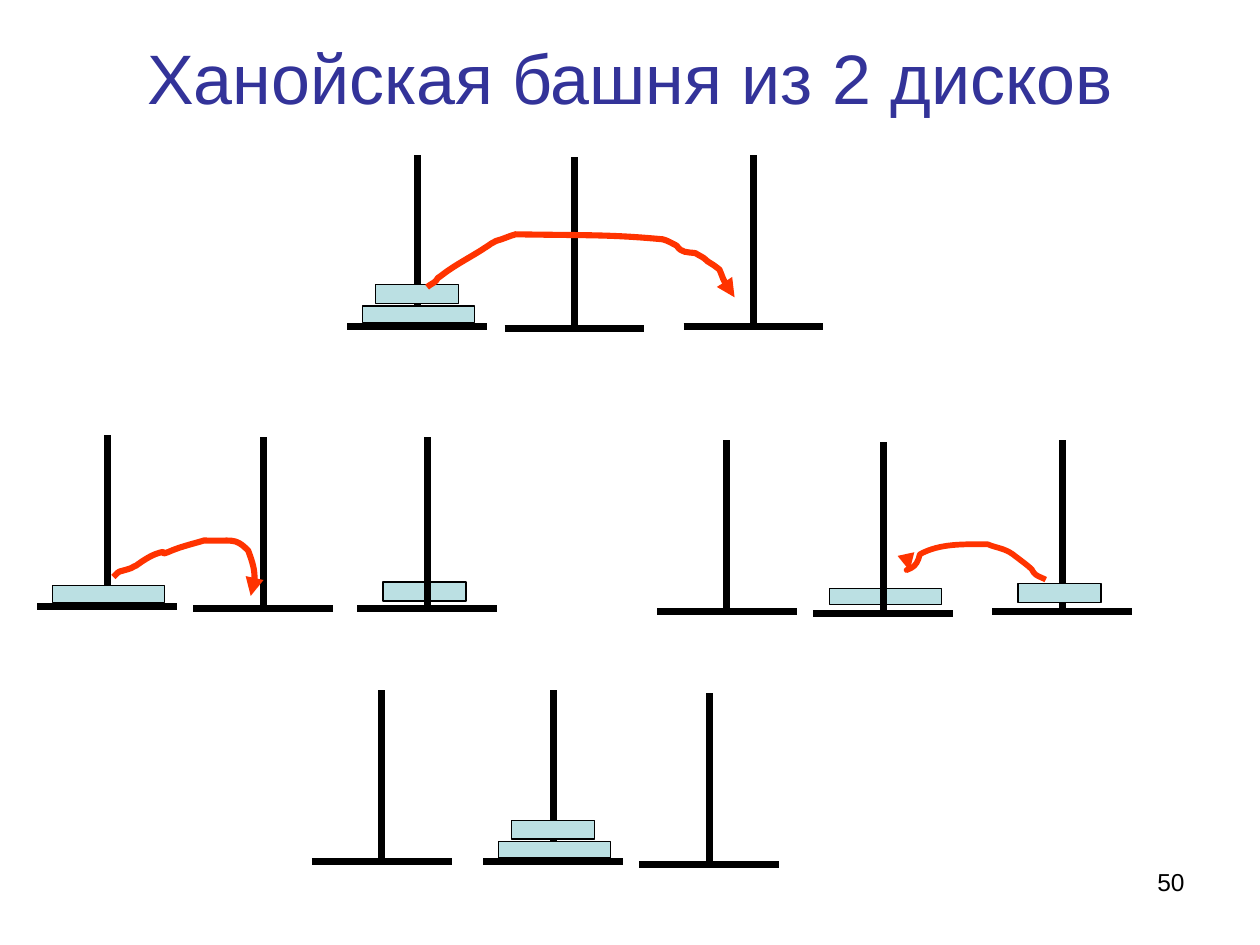
from lxml import etree
from pptx import Presentation
from pptx import util as u
from pptx.dml.color import RGBColor
from pptx.enum import shapes, text
from pptx.oxml.ns import qn

BLACK, DISK, ARROW, TITLE = "000000", "BBE0E3", "FF3300", "333399"
BASE_W, POLE_H = 1.11, 1.36
LARGE, SMALL = (0.89, 0.13), (0.66, 0.15)

# Disk: size, centre offset from the pole, rise of its top over the base
LOW_LARGE = (LARGE, 0.01, 0.16)
TOP_SMALL = (SMALL, 0, 0.33)
LONE_SMALL = (SMALL, -0.02, 0.21)

# Peg: pole x, base y, disks behind the pole, disks in front of it
STATES = [
    [(3.31, 2.59, [], [LOW_LARGE, TOP_SMALL]), (4.56, 2.61, [], []),
     (5.98, 2.59, [], [])],
    [(0.85, 4.81, [], [LOW_LARGE]), (2.09, 4.83, [], []),
     (3.39, 4.83, [LONE_SMALL], [])],
    [(5.77, 4.85, [], []), (7.01, 4.87, [(LARGE, 0.02, 0.2)], []),
     (8.43, 4.85, [], [(SMALL, -0.02, 0.22)])],
    [(4.39, 6.84, [], [LOW_LARGE, TOP_SMALL]), (5.63, 6.86, [], []),
     (3.03, 6.84, [], [])],
]

# Arrow: line width, start, then two control points and an end per curve
MOVES = [
    (3.5, (3.39, 2.28), [
        (3.41, 2.26), (3.44, 2.25), (3.46, 2.23),
        (3.47, 2.21), (3.48, 2.2), (3.5, 2.19),
        (3.6, 2.11), (3.72, 2.05), (3.83, 1.98),
        (3.88, 1.95), (3.92, 1.91), (3.98, 1.9),
        (4.01, 1.89), (4.03, 1.88), (4.06, 1.87),
        (4.07, 1.87), (4.09, 1.86), (4.09, 1.86),
        (4.66, 1.87), (4.83, 1.86), (5.26, 1.9),
        (5.3, 1.91), (5.33, 1.93), (5.37, 1.95),
        (5.41, 2.01), (5.45, 2), (5.52, 2.01),
        (5.55, 2.03), (5.58, 2.04), (5.6, 2.06),
        (5.61, 2.07), (5.62, 2.08), (5.64, 2.09),
        (5.66, 2.1), (5.71, 2.14), (5.71, 2.14),
        (5.74, 2.21), (5.75, 2.27), (5.82, 2.31),
        (5.82, 2.33), (5.83, 2.36), (5.83, 2.36)]),
    (3.5, (0.9, 4.58), [
        (0.96, 4.52), (0.92, 4.55), (1.04, 4.51),
        (1.05, 4.5), (1.08, 4.49), (1.08, 4.49),
        (1.12, 4.46), (1.18, 4.42), (1.23, 4.4),
        (1.37, 4.35), (1.24, 4.42), (1.34, 4.38),
        (1.43, 4.34), (1.52, 4.32), (1.62, 4.29),
        (1.85, 4.3), (1.86, 4.26), (1.97, 4.37),
        (2.01, 4.48), (2.05, 4.62), (1.99, 4.73)]),
    (3.25, (8.3, 4.6), [
        (8.28, 4.59), (8.23, 4.57), (8.22, 4.56),
        (8.2, 4.55), (8.2, 4.53), (8.19, 4.52),
        (8.15, 4.48), (8.09, 4.44), (8.04, 4.4),
        (7.97, 4.35), (7.91, 4.35), (7.84, 4.32),
        (7.66, 4.32), (7.46, 4.31), (7.3, 4.4),
        (7.29, 4.45), (7.27, 4.49), (7.23, 4.51),
        (7.16, 4.54), (7.1, 4.53), (7.22, 4.53)]),
]


def rgb(value):
    return RGBColor.from_string(value)


def set_line(sp, color, width):
    sp.line.color.rgb = rgb(color)
    sp.line.width = u.Pt(width)


def add_text(s, box, content, size, color, align, anchor):
    sp = s.shapes.add_textbox(*map(u.Inches, box))
    tf = sp.text_frame
    tf.word_wrap = True
    tf.vertical_anchor = anchor
    p = tf.paragraphs[0]
    p.alignment = align
    r = p.add_run()
    r.text = content
    for name, value in {"name": "Arial", "size": u.Pt(size)}.items():
        setattr(r.font, name, value)
    r.font.color.rgb = rgb(color)


def add_bar(s, *ends):
    sp = s.shapes.add_connector(shapes.MSO_CONNECTOR.STRAIGHT,
                                *map(u.Inches, ends))
    set_line(sp, BLACK, 4)
    etree.SubElement(sp._element.spPr, qn("a:effectLst"))


def add_disk(s, x, y, disk):
    (width, height), shift, rise = disk
    box = (x + shift - width / 2, y - rise, width, height)
    sp = s.shapes.add_shape(shapes.MSO_SHAPE.RECTANGLE, *map(u.Inches, box))
    sp.shadow.inherit = False
    sp.fill.solid()
    sp.fill.fore_color.rgb = rgb(DISK)
    set_line(sp, BLACK, 0.75)


def add_peg(s, x, y, behind, front):
    for disk in behind:
        add_disk(s, x, y, disk)
    add_bar(s, x - BASE_W / 2, y, x + BASE_W / 2, y)
    add_bar(s, x, y, x, y - POLE_H)
    for disk in front:
        add_disk(s, x, y, disk)


def bend(sp):
    """Turn each three straight segments into one cubic curve."""
    segments = list(sp._element.iter(qn("a:lnTo")))
    for i in range(0, len(segments), 3):
        first, *others = segments[i:i + 3]
        first.tag = qn("a:cubicBezTo")
        for segment in others:
            first.append(segment[0])
            segment.getparent().remove(segment)


def add_move(s, width, start, points):
    builder = s.shapes.build_freeform(*map(u.Inches, start))
    builder.add_line_segments([tuple(map(u.Inches, pt)) for pt in points],
                              close=False)
    sp = builder.convert_to_shape()
    bend(sp)
    sp.shadow.inherit = False
    sp.fill.background()
    set_line(sp, ARROW, width)
    ln = sp.line._get_or_add_ln()
    etree.SubElement(ln, qn("a:round"))
    etree.SubElement(ln, qn("a:tailEnd"), type="triangle")


def main():
    prs = Presentation()
    prs.slide_width, prs.slide_height = u.Inches(10), u.Inches(7.5)
    s = prs.slides.add_slide(prs.slide_layouts[6])
    add_text(s, (0.5, 0.3, 9, 0.61), "Ханойская башня из 2 дисков", 40, TITLE,
             text.PP_ALIGN.CENTER, text.MSO_ANCHOR.MIDDLE)
    for state in STATES:
        for peg in state:
            add_peg(s, *peg)
    for move in MOVES:
        add_move(s, *move)
    add_text(s, (7.17, 6.83, 2.33, 0.52), "50", 14, BLACK,
             text.PP_ALIGN.RIGHT, text.MSO_ANCHOR.TOP)
    prs.save("out.pptx")


if __name__ == "__main__":
    main()
